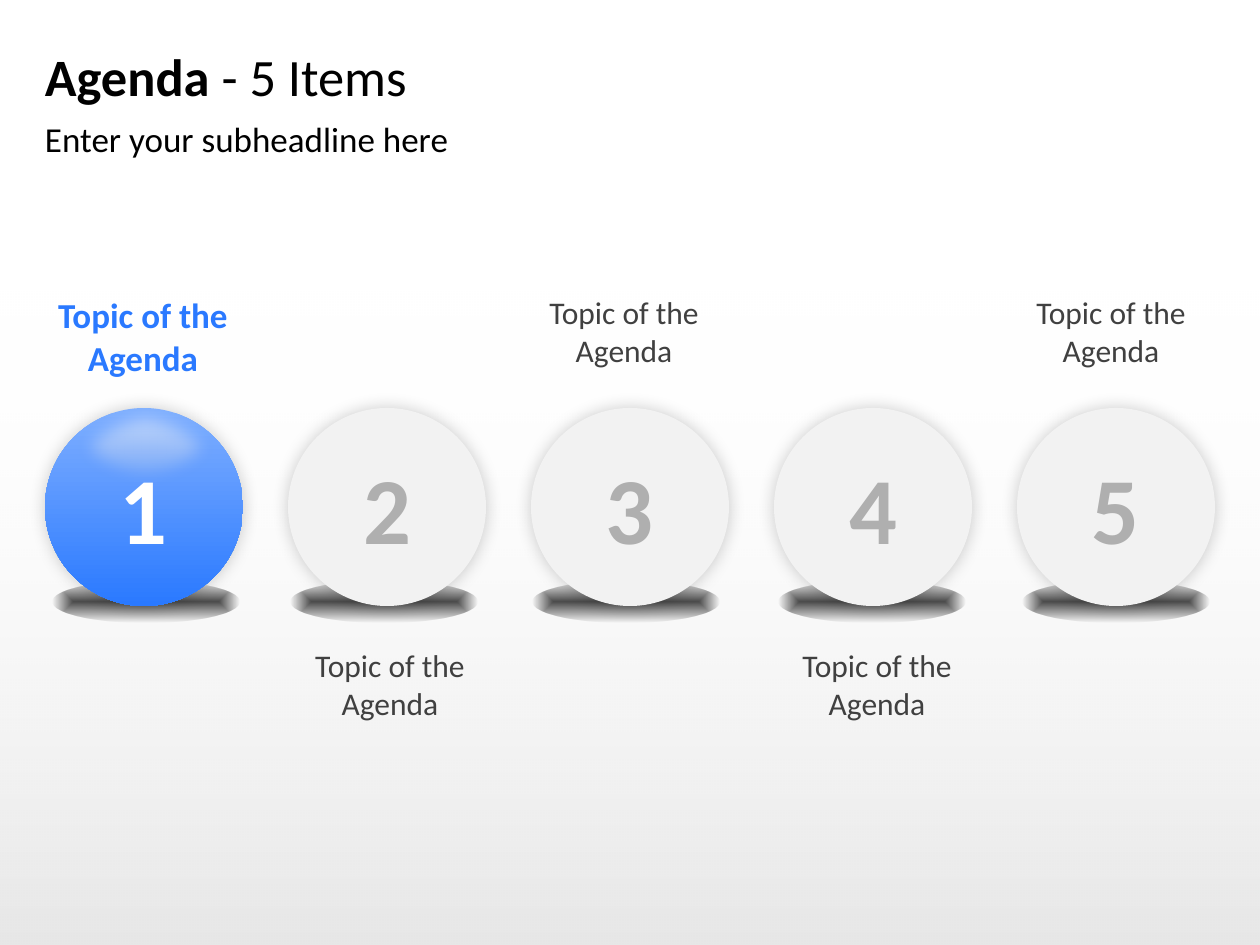
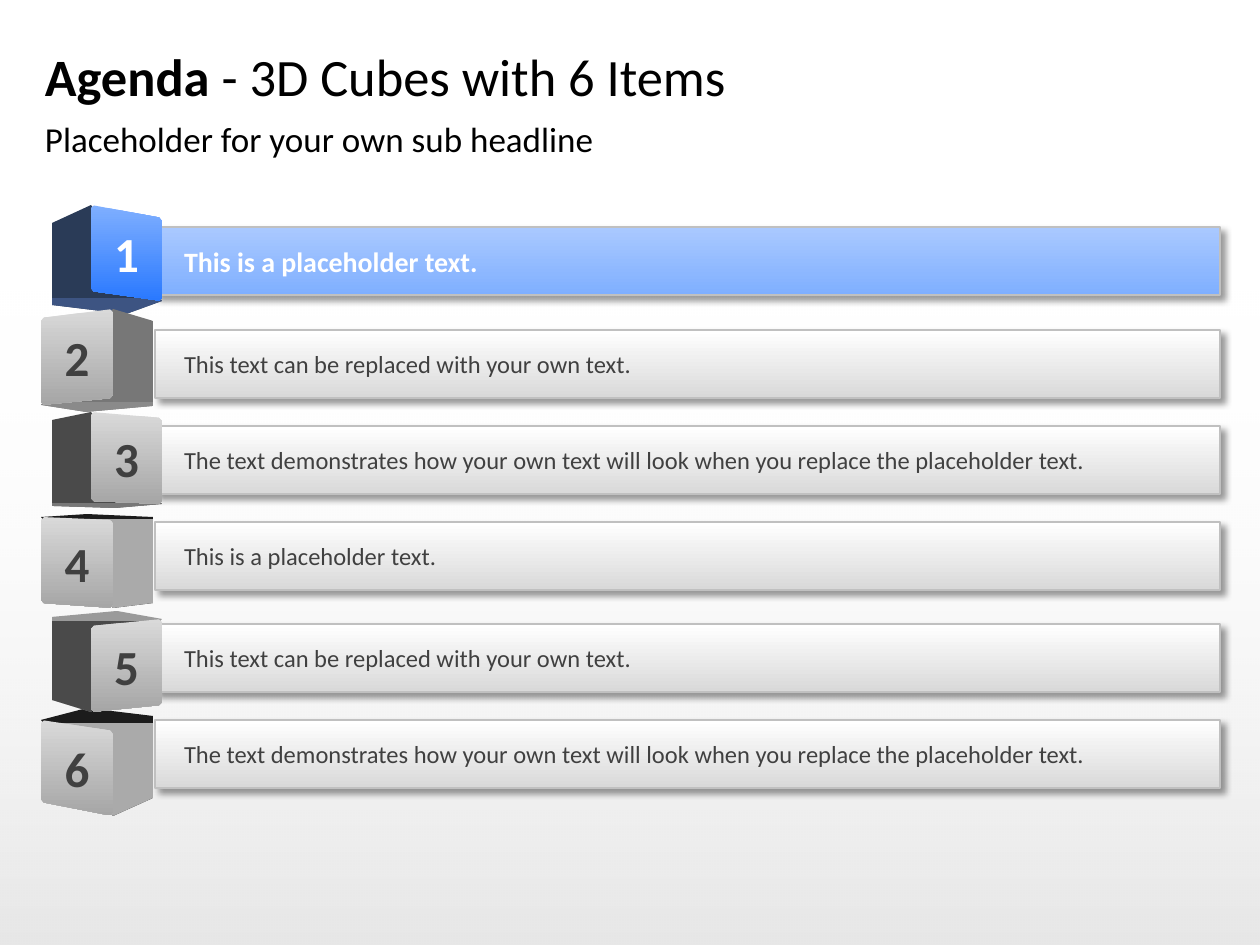
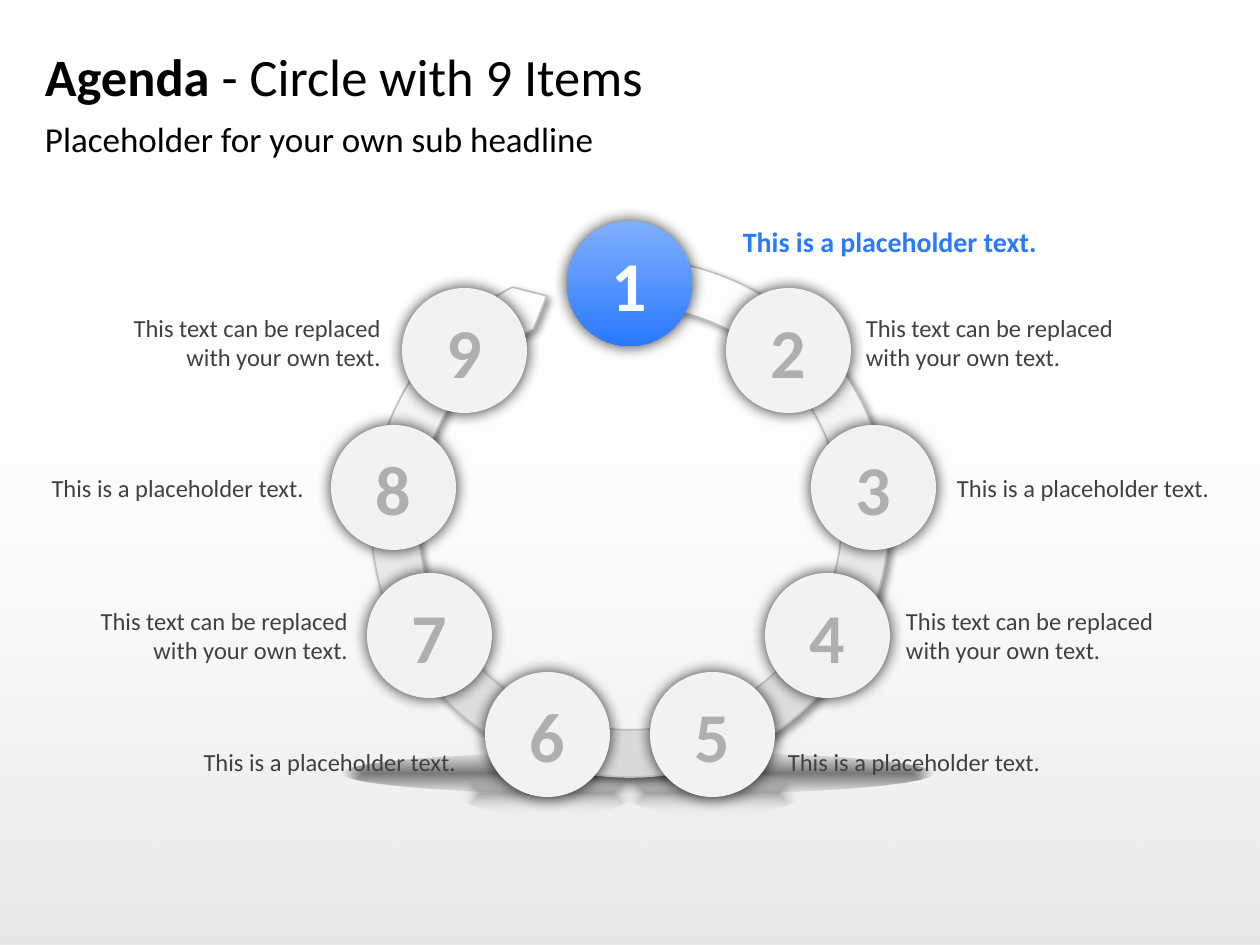
import math
from dataclasses import dataclass
from itertools import pairwise
from typing import Optional

from pptx import Presentation, util as u
from pptx.dml.color import RGBColor
from pptx.enum import shapes, text
from pptx.oxml import parse_xml
from pptx.oxml.ns import nsdecls, qn

SCALE = u.Inches(1) / 126
OVAL = shapes.MSO_SHAPE.OVAL
RECT = shapes.MSO_SHAPE.RECTANGLE
LEFT, CENTER, RIGHT = text.PP_ALIGN.LEFT, text.PP_ALIGN.CENTER, text.PP_ALIGN.RIGHT
TOP, MIDDLE = text.MSO_ANCHOR.TOP, text.MSO_ANCHOR.MIDDLE

Point = tuple[float, float]
Edge = tuple[int, int]


@dataclass(frozen=True)
class Gradient:
    start: str
    end: str
    start_alpha: int = 100
    end_alpha: int = 100
    angle: Optional[int] = 90
    split: Optional[int] = None


@dataclass(frozen=True)
class Shadow:
    alpha: int
    blur: int
    distance: int = 0
    direction: int = 0


@dataclass(frozen=True)
class Style:
    size: int
    color: str
    bold: bool = False


@dataclass(frozen=True)
class Theme:
    font: str = "Calibri"
    title: Style = Style(30, "000000")
    subtitle: Style = Style(20, "000000")
    topic: Style = Style(18, "404040")
    topic_active: Style = Style(20, "2A79FF", True)
    ball: Style = Style(54, "AFAFAF", True)
    ball_active: Style = Style(54, "FFFFFF", True)
    bar: Style = Style(14, "404040")
    bar_active: Style = Style(16, "FFFFFF", True)
    cube: Style = Style(28, "404040", True)
    cube_active: Style = Style(28, "FFFFFF", True)
    note: Style = Style(14, "404040")
    note_active: Style = Style(16, "2A79FF", True)
    stop: Style = Style(40, "AFAFAF", True)
    stop_active: Style = Style(40, "FFFFFF", True)
    border: str = "C0C0C0"
    pale: str = "F2F2F2"
    blue: Gradient = Gradient("7FAFFF", "2A79FF")
    light_blue: Gradient = Gradient("AAC9FF", "7FAFFF")
    silver: Gradient = Gradient("FFFFFF", "D9D9D9")
    gray: Gradient = Gradient("D9D9D9", "A6A6A6")
    backdrop: Gradient = Gradient("000000", "FFFFFF", 10, 0, 270)
    gloss: Gradient = Gradient("DDDDDD", "FFFFFF", 0, 68, 270)
    ball_ground: Gradient = Gradient("000000", "000000", 70, 0, None)
    ring_ground: Gradient = Gradient("000000", "000000", 50, 0, None)
    foot_ground: Gradient = Gradient("000000", "FFFFFF", 30, 0, None)
    ball_shadow: Shadow = Shadow(20, 10, 0, 315)
    stop_shadow: Shadow = Shadow(83, 9)
    bar_shadow: Shadow = Shadow(40, 4, 3, 45)


T = Theme()


@dataclass(frozen=True)
class Ball:
    label_center: int
    label_top: int
    ground_x: int


@dataclass(frozen=True)
class Cube:
    number: int
    label: str
    bar_y: int
    hinge: Edge
    far: Edge
    outer: Edge
    apex: Point
    side_color: str
    cap_color: str


@dataclass(frozen=True)
class Stop:
    x: int
    y: int
    label: str
    label_x: int
    label_y: int
    align: text.PP_ALIGN = LEFT


SHORT = "This is a placeholder text."
MEDIUM = "This text can be replaced with your own text."
LONG = "The text demonstrates how your own text will look when you replace the placeholder text."
TOPIC = "Topic of the\vAgenda"

BALLS = [
    Ball(143, 294, 53),
    Ball(390, 646, 291),
    Ball(624, 293, 533),
    Ball(877, 646, 779),
    Ball(1111, 293, 1023),
]

CUBES = [
    Cube(1, SHORT, 227, (205, 291), (218, 301), (223, 305), (126, 314), "2A3B57", "3D5482"),
    Cube(2, MEDIUM, 330, (309, 398), (318, 405), (321, 406), (86, 412), "777777", "8A8A8A"),
    Cube(3, LONG, 426, (412, 501), (418, 504), (420, 506), (115, 508), "4A4A4A", "777777"),
    Cube(4, SHORT, 522, (520, 608), (517, 603), (517, 603), (87, 514), "AAAAAA", "1C1C1C"),
    Cube(6, LONG, 720, (731, 816), (720, 802), (716, 798), (87, 708), "AAAAAA", "1C1C1C"),
    Cube(5, MEDIUM, 624, (626, 712), (619, 705), (617, 700), (117, 611), "4A4A4A", "9A9A9A"),
]

STOPS = [
    Stop(567, 221, SHORT, 743, 225),
    Stop(726, 288, MEDIUM, 866, 313),
    Stop(811, 425, SHORT, 957, 473),
    Stop(765, 573, MEDIUM, 906, 606),
    Stop(650, 672, SHORT, 788, 747),
    Stop(485, 672, SHORT, 164, 747, RIGHT),
    Stop(367, 573, MEDIUM, 56, 606, RIGHT),
    Stop(331, 425, SHORT, 12, 473, RIGHT),
    Stop(402, 288, MEDIUM, 89, 313, RIGHT),
]


def px(value: float) -> u.Emu:
    return u.Emu(round(value * SCALE))


def gradient_xml(g: Gradient):
    marks = [(0, g.start, g.start_alpha), (100, g.end, g.end_alpha)]
    if g.split is not None:
        marks[1:1] = [(g.split, g.start, g.start_alpha), (g.split, g.end, g.end_alpha)]
    stops = "".join(
        f'<a:gs pos="{pos * 1000}"><a:srgbClr val="{color}"><a:alpha val="{alpha * 1000}"/></a:srgbClr></a:gs>'
        for pos, color, alpha in marks
    )
    if g.angle is None:
        shade = '<a:path path="shape"><a:fillToRect l="50000" t="50000" r="50000" b="50000"/></a:path>'
    else:
        shade = f'<a:lin ang="{g.angle * 60000}" scaled="0"/>'
    return parse_xml(f'<a:gradFill {nsdecls("a")} rotWithShape="1"><a:gsLst>{stops}</a:gsLst>{shade}</a:gradFill>')


def add_effect(sp, xml: str) -> None:
    sp._element.spPr.find(qn("a:effectLst")).append(parse_xml(xml))


def paint(sp, fill: str | Gradient, shadow: Optional[Shadow] = None, border: Optional[str] = None) -> None:
    if isinstance(fill, Gradient):
        sp._element.spPr.insert(2, gradient_xml(fill))
    else:
        sp.fill.solid()
        sp.fill.fore_color.rgb = RGBColor.from_string(fill)
    if border:
        sp.line.color.rgb = RGBColor.from_string(border)
        sp.line.width = u.Pt(1)
    else:
        sp.line.fill.background()
    sp.shadow.inherit = False
    if shadow:
        add_effect(
            sp,
            f'<a:outerShdw {nsdecls("a")} blurRad="{u.Pt(shadow.blur)}" dist="{u.Pt(shadow.distance)}"'
            f' dir="{shadow.direction * 60000}" algn="ctr" rotWithShape="0"><a:srgbClr val="000000">'
            f'<a:alpha val="{shadow.alpha * 1000}"/></a:srgbClr></a:outerShdw>',
        )


def format_run(r, style: Style) -> None:
    r.font.name = T.font
    r.font.size = u.Pt(style.size)
    r.font.bold = style.bold
    r.font.color.rgb = RGBColor.from_string(style.color)


def write(sp, content: str, style: Style, align=CENTER, anchor=MIDDLE,
          wrap: bool = True, inset: tuple[int, int] = (0, 0)) -> None:
    tf = sp.text_frame
    tf.text = content
    tf.word_wrap = wrap
    tf.vertical_anchor = anchor
    tf.margin_left = tf.margin_right = px(inset[0])
    tf.margin_top = tf.margin_bottom = px(inset[1])
    p = tf.paragraphs[0]
    p.alignment = align
    for r in p.runs:
        format_run(r, style)


def add_preset(s, kind, x: int, y: int, w: int, h: int, fill: str | Gradient,
               shadow: Optional[Shadow] = None, border: Optional[str] = None):
    sp = s.shapes.add_shape(kind, px(x), px(y), px(w), px(h))
    paint(sp, fill, shadow, border)
    return sp


def add_label(s, x: int, y: int, w: int, h: int, content: str, style: Style,
              align=LEFT, anchor=TOP, wrap: bool = True):
    sp = s.shapes.add_textbox(px(x), px(y), px(w), px(h))
    write(sp, content, style, align, anchor, wrap)
    return sp


def add_polygon(s, points: list[Point], fill: str | Gradient,
                shadow: Optional[Shadow] = None, border: Optional[str] = None):
    corners = [(px(x), px(y)) for x, y in points]
    builder = s.shapes.build_freeform(*corners[0])
    builder.add_line_segments(corners[1:], close=True)
    sp = builder.convert_to_shape()
    paint(sp, fill, shadow, border)
    return sp


def chamfered(points: list[Point], cut: int) -> list[Point]:
    result = []
    for i, (x, y) in enumerate(points):
        for nx, ny in (points[i - 1], points[(i + 1) % len(points)]):
            k = cut / math.hypot(nx - x, ny - y)
            result.append((x + (nx - x) * k, y + (ny - y) * k))
    return result


def arc(cx: int, cy: int, radius: int, degrees: list[int]) -> list[Point]:
    def at(angle: float, along: float = 0) -> Point:
        c, d = math.cos(angle), math.sin(angle)
        return cx + radius * (c - along * d), cy + radius * (d + along * c)

    points = [at(math.radians(degrees[0]))]
    for a, b in pairwise(map(math.radians, degrees)):
        handle = 4 / 3 * math.tan((b - a) / 4)
        points += [at(a, handle), at(b, -handle), at(b)]
    return points


def bend(sp, first: int, curves: int) -> None:
    lines = list(sp._element.spPr.iter(qn("a:lnTo")))[first:first + 3 * curves]
    for i in range(0, len(lines), 3):
        curve = parse_xml(f'<a:cubicBezTo {nsdecls("a")}/>')
        lines[i].addprevious(curve)
        for line in lines[i:i + 3]:
            curve.append(line[0])
            line.getparent().remove(line)


def add_agenda_slide(prs, topic: str, subtitle: str):
    s = prs.slides.add_slide(prs.slide_layouts[6])
    add_preset(s, RECT, 0, 278, 1260, 667, T.backdrop)
    sp = add_label(s, 45, 34, 1170, 84, "Agenda ", T.title, anchor=MIDDLE)
    p = sp.text_frame.paragraphs[0]
    p.runs[0].font.bold = True
    r = p.add_run()
    r.text = topic
    format_run(r, T.title)
    add_label(s, 45, 117, 1170, 47, subtitle, T.subtitle)
    return s


def build_balls(prs) -> None:
    s = add_agenda_slide(prs, "- 5 Items", "Enter your subheadline here")
    size, pitch, label_width = 198, 243, 170
    for i, ball in enumerate(BALLS):
        active = i == 0
        add_preset(s, OVAL, ball.ground_x, 581, 186, 42, T.ball_ground)
        sp = add_preset(s, OVAL, 45 + i * pitch, 408, size, size, T.blue if active else T.pale, T.ball_shadow)
        write(sp, str(i + 1), T.ball_active if active else T.ball)
        add_label(s, ball.label_center - label_width // 2, ball.label_top, label_width, 77, TOPIC,
                  T.topic_active if active else T.topic, CENTER, wrap=False)
    sp = add_preset(s, OVAL, 67, 402, 156, 93, T.gloss)
    add_effect(sp, f'<a:softEdge {nsdecls("a")} rad="{u.Pt(10)}"/>')


def add_cube(s, cube: Cube) -> None:
    active = cube.number == 1
    hinge_x, far_x, outer_x = (91, 162, 52) if cube.number % 2 else (113, 41, 153)
    hinge, far, outer = (
        [(x, y) for y in edge]
        for x, edge in ((hinge_x, cube.hinge), (far_x, cube.far), (outer_x, cube.outer))
    )
    cap = int(cube.apex[1] > cube.hinge[1])
    body = [outer[1 - cap], hinge[1 - cap], far[cap], cube.apex, outer[cap]]
    heights = [y for _, y in body]
    seam = (cube.outer[cap] + cube.hinge[cap]) / 2
    split = round(100 * (seam - min(heights)) / (max(heights) - min(heights)))
    upper, lower = (cube.side_color, cube.cap_color) if cap else (cube.cap_color, cube.side_color)
    add_polygon(s, body, Gradient(upper, lower, split=split))
    sp = add_polygon(s, chamfered([hinge[0], far[0], far[1], hinge[1]], 3), T.blue if active else T.gray)
    write(sp, str(cube.number), T.cube_active if active else T.cube)


def build_cubes(prs) -> None:
    s = add_agenda_slide(prs, "- 3D Cubes with 6 Items", "Placeholder for your own sub headline")
    for cube in CUBES:
        active = cube.number == 1
        sp = add_preset(s, RECT, 155, cube.bar_y, 1065, 68, T.light_blue if active else T.silver,
                        T.bar_shadow, T.border)
        write(sp, cube.label, T.bar_active if active else T.bar, LEFT, inset=(29, 5))
        add_cube(s, cube)


def build_circle(prs) -> None:
    s = add_agenda_slide(prs, "- Circle with 9 Items", "Placeholder for your own sub headline")
    add_preset(s, OVAL, 343, 752, 590, 43, T.ring_ground)
    angles = [-92, -90, 0, 90, 180, 243]
    curves = len(angles) - 1
    arrow_tip = (547, 296)
    outline = arc(630, 518, 259, angles) + [arrow_tip] + arc(630, 518, 212, angles[::-1])
    ring = add_polygon(s, outline, T.silver, T.bar_shadow, T.border)
    bend(ring, 3 * curves + 2, curves)
    bend(ring, 0, curves)
    for x in (460, 625):
        add_preset(s, OVAL, x, 772, 174, 43, T.foot_ground)
    for number, stop in enumerate(STOPS, 1):
        active = number == 1
        sp = add_preset(s, OVAL, stop.x, stop.y, 125, 125, T.blue if active else T.pale, T.stop_shadow)
        write(sp, str(number), T.stop_active if active else T.stop)
        add_label(s, stop.label_x, stop.label_y, 368 if active else 292, 59 if stop.label == MEDIUM else 30,
                  stop.label, T.note_active if active else T.note, stop.align)


def main() -> None:
    prs = Presentation()
    prs.slide_width, prs.slide_height = px(1260), px(945)
    build_balls(prs)
    build_cubes(prs)
    build_circle(prs)
    prs.save("out.pptx")


if __name__ == "__main__":
    main()
